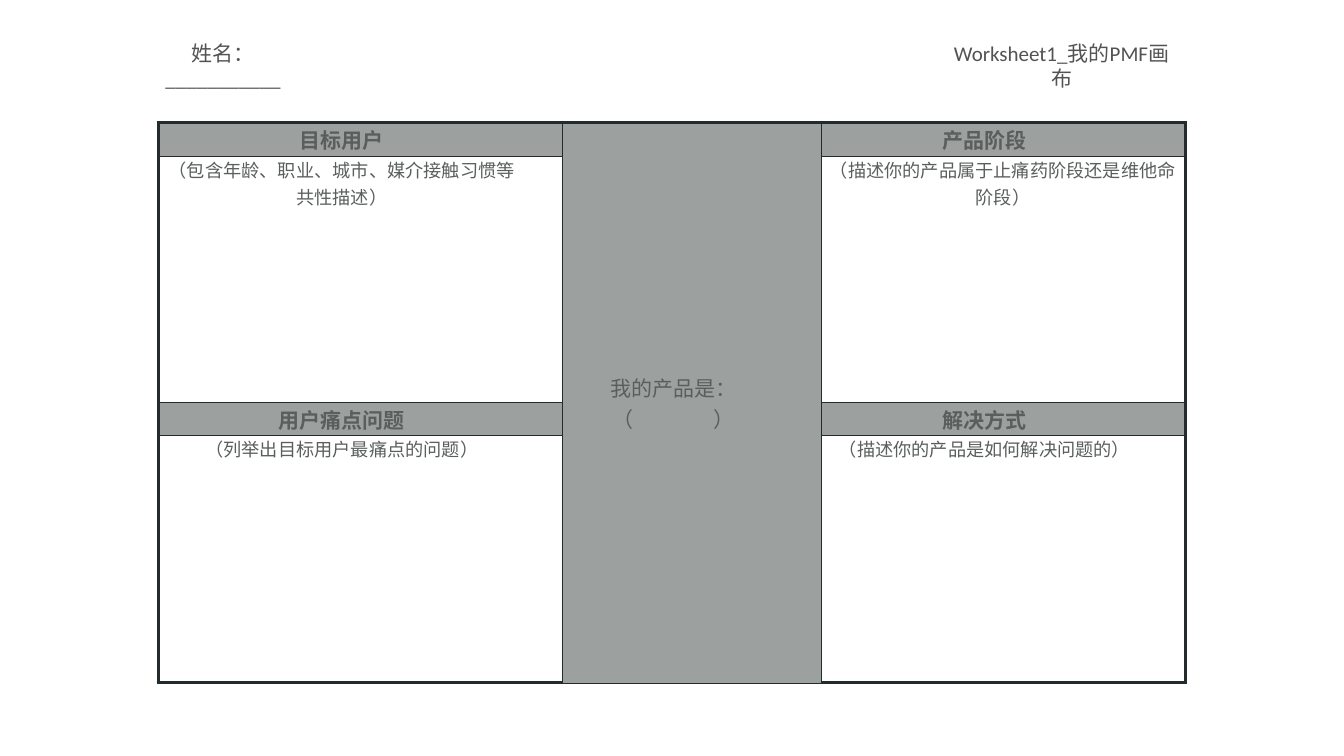
"""Build the product-market-fit canvas worksheet slide."""
import lxml.etree
import pptx
import pptx.dml.color
import pptx.enum.text
import pptx.oxml.ns
import pptx.util

COLORS = {"heading": "535353", "text": "5A5F5E", "line": "232B2D", "fill": "9CA09E"}
CJK_FONT = "Noto Sans CJK SC"
UNIT = pptx.util.Inches(1)
COLUMNS = [8.02, 5.13, 7.23]
ROWS = [0.68, 4.88, 0.65, 4.91]
TABLE_LEFT, TABLE_TOP = 3.14, 2.43
HEADING_TOP, HEADING_HEIGHT = 0.93, 0.74
MIDDLE = pptx.enum.text.MSO_ANCHOR.MIDDLE
CONTENT = {
    (0, 0): "目标用户",
    (0, 1): "我的产品是：\v（                 ）",
    (0, 2): "产品阶段",
    (1, 0): "（包含年龄、职业、城市、媒介接触习惯等共性描述）",
    (1, 2): "（描述你的产品属于止痛药阶段还是维他命阶段）",
    (2, 0): "用户痛点问题",
    (2, 2): "解决方式",
    (3, 0): "（列举出目标用户最痛点的问题）",
    (3, 2): "（描述你的产品是如何解决问题的）",
}


def add_text(frame, text, size, font, color, bold=False):
    paragraph = frame.paragraphs[0]
    paragraph.alignment = pptx.enum.text.PP_ALIGN.CENTER
    for index, line in enumerate(text.split("\v")):
        if index:
            paragraph.add_line_break()
        run = paragraph.add_run()
        run.text = line
        run.font.size = pptx.util.Pt(size)
        run.font.bold = bold
        run.font.name = font
        run.font.color.rgb = pptx.dml.color.RGBColor.from_string(COLORS[color])
        east_asian = lxml.etree.SubElement(run.font._element, pptx.oxml.ns.qn("a:ea"))
        east_asian.set("typeface", CJK_FONT)


def add_border(cell, side, width):
    properties = cell._tc.get_or_add_tcPr()
    line = lxml.etree.SubElement(properties, pptx.oxml.ns.qn(f"a:ln{side}"))
    line.set("w", str(pptx.util.Pt(width)))
    solid = lxml.etree.SubElement(line, pptx.oxml.ns.qn("a:solidFill"))
    lxml.etree.SubElement(solid, pptx.oxml.ns.qn("a:srgbClr")).set("val", COLORS["line"])


presentation = pptx.Presentation()
presentation.slide_width = int(26.67 * UNIT)
presentation.slide_height = 15 * UNIT
slide = presentation.slides.add_slide(presentation.slide_layouts[5])

table_shape = slide.shapes.add_table(
    len(ROWS), len(COLUMNS), int(TABLE_LEFT * UNIT), int(TABLE_TOP * UNIT),
    int(sum(COLUMNS) * UNIT), int(sum(ROWS) * UNIT))
table = table_shape.table
table.first_row = table.horz_banding = False
for column, width in zip(table.columns, COLUMNS):
    column.width = int(width * UNIT)
for row, height in zip(table.rows, ROWS):
    row.height = int(height * UNIT)
table.cell(0, 1).merge(table.cell(len(ROWS) - 1, 1))

for row in range(len(ROWS)):
    for column in range(len(COLUMNS)):
        cell = table.cell(row, column)
        outer_edges = {"L": column == 0, "R": column == len(COLUMNS) - 1,
                       "T": row == 0, "B": row == len(ROWS) - 1}
        for side, outer in outer_edges.items():
            add_border(cell, side, 5 if outer else 1)
        is_product = column == 1
        is_header = row % 2 == 0 and not is_product
        if is_header or is_product:
            cell.fill.solid()
            cell.fill.fore_color.rgb = pptx.dml.color.RGBColor.from_string(COLORS["fill"])
            color = cell._tc.tcPr.find(".//" + pptx.oxml.ns.qn("a:srgbClr"))
            alpha = lxml.etree.SubElement(color, pptx.oxml.ns.qn("a:alpha"))
            alpha.set("val", "63000" if is_header else "29000")
            cell.vertical_anchor = MIDDLE
        else:
            cell.fill.background()
        cell.margin_left = int(0.07 * UNIT)
        cell.margin_right = int((0.07 if (row, column) == (1, 2) else 0.8) * UNIT)
        cell.margin_top = cell.margin_bottom = 0
        if (row, column) in CONTENT:
            size = 30 if is_header or is_product else 26
            add_text(cell.text_frame, CONTENT[row, column], size, CJK_FONT, "text", is_header)

name_box = slide.shapes.add_textbox(0, 0, UNIT, UNIT)
headings = [
    (name_box, "姓名：___________", 3.18, 3.71, 1.3),
    (slide.shapes.title, "Worksheet1_我的PMF画布", 18.7, 4.81, 0.16),
]
for shape, text, left, width, right_margin in headings:
    shape.left, shape.top = int(left * UNIT), int(HEADING_TOP * UNIT)
    shape.width, shape.height = int(width * UNIT), int(HEADING_HEIGHT * UNIT)
    frame = shape.text_frame
    frame.word_wrap = True
    frame.auto_size = pptx.enum.text.MSO_AUTO_SIZE.NONE
    frame.vertical_anchor = MIDDLE
    frame.margin_left = frame.margin_top = frame.margin_bottom = int(0.08 * UNIT)
    frame.margin_right = int(right_margin * UNIT)
    add_text(frame, text, 30, "Calibri", "heading")

presentation.save("out.pptx")
